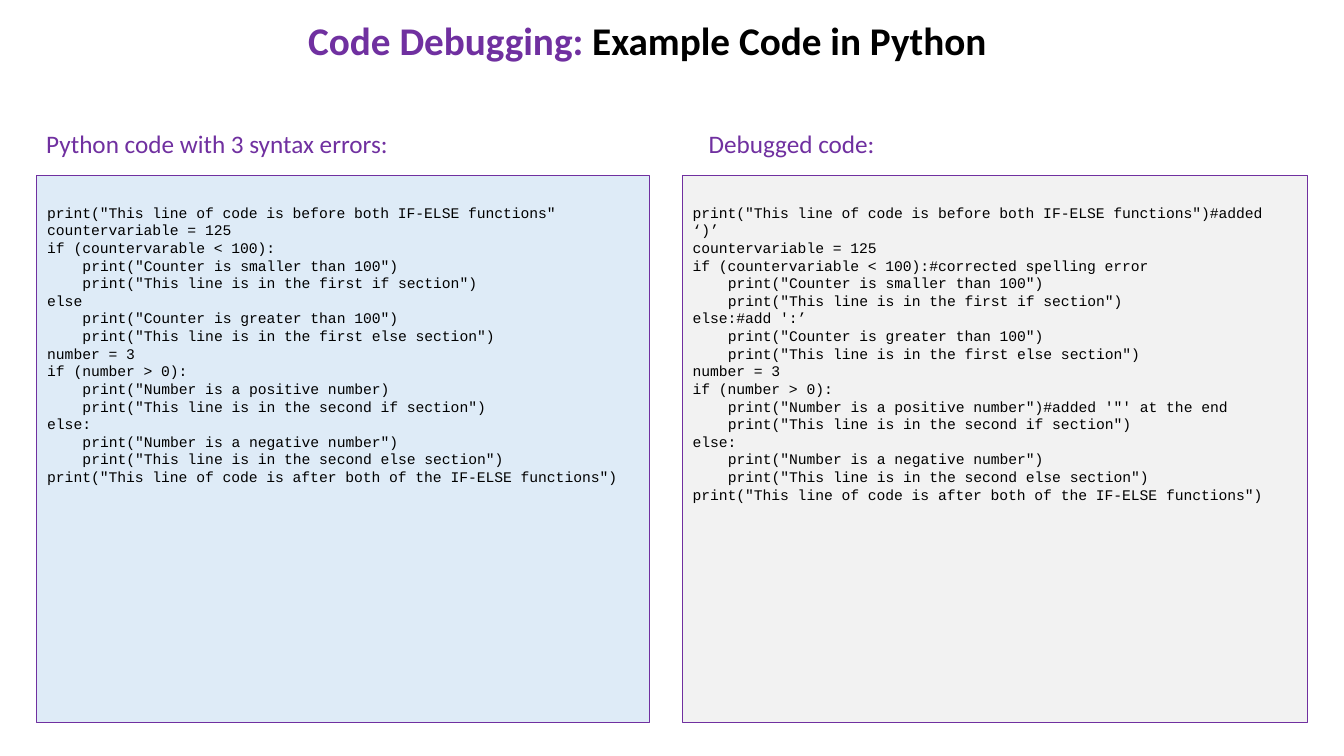
"""Build a slide that compares faulty Python code with its debugged version."""
from dataclasses import dataclass

from pptx import Presentation
from pptx.dml.color import RGBColor
from pptx.enum.shapes import MSO_SHAPE
from pptx.enum.text import MSO_AUTO_SIZE, PP_ALIGN
from pptx.util import Emu, Pt

PX = 9144


@dataclass(frozen=True)
class Theme:
    purple: RGBColor = RGBColor(0x70, 0x30, 0xA0)
    black: RGBColor = RGBColor(0x00, 0x00, 0x00)
    blue_panel: RGBColor = RGBColor(0xDE, 0xEB, 0xF7)
    grey_panel: RGBColor = RGBColor(0xF2, 0xF2, 0xF2)
    text_font: str = "Calibri"
    code_font: str = "Courier New"
    title_size: float = 28
    heading_size: float = 18
    code_size: float = 10.5


theme = Theme()

FAULTY_CODE = '''print("This line of code is before both IF-ELSE functions"
countervariable = 125
if (countervarable < 100):
    print("Counter is smaller than 100")
    print("This line is in the first if section")
else
    print("Counter is greater than 100")
    print("This line is in the first else section")
number = 3
if (number > 0):
    print("Number is a positive number)
    print("This line is in the second if section")
else:
    print("Number is a negative number")
    print("This line is in the second else section")
print("This line of code is after both of the IF-ELSE functions")'''.split("\n")

CORRECTIONS = {
    'print("This line of code is before both IF-ELSE functions"':
        'print("This line of code is before both IF-ELSE functions")#added ‘)’',
    "if (countervarable < 100):":
        "if (countervariable < 100):#corrected spelling error",
    "else": "else:#add ':’",
    '    print("Number is a positive number)':
        '    print("Number is a positive number")#added \'"\' at the end',
}
DEBUGGED_CODE = [CORRECTIONS.get(line, line) for line in FAULTY_CODE]
CODE_INDENT = 35


def add_text_frame(left, top, width, height):
    box = slide.shapes.add_textbox(*(Emu(n * PX) for n in (left, top, width, height)))
    box.text_frame.word_wrap = True
    box.text_frame.auto_size = MSO_AUTO_SIZE.SHAPE_TO_FIT_TEXT
    return box.text_frame


def add_run(paragraph, text, font, size, color, bold=False):
    run = paragraph.add_run()
    run.text = text
    run.font.name = font
    run.font.size = Pt(size)
    run.font.color.rgb = color
    run.font.bold = bold


presentation = Presentation()
presentation.slide_width = Emu(1333 * PX)
presentation.slide_height = Emu(750 * PX)
slide = presentation.slides.add_slide(presentation.slide_layouts[6])

title = add_text_frame(92, 11, 1100, 57).paragraphs[0]
title.alignment = PP_ALIGN.CENTER
for text, color in (("Code Debugging: ", theme.purple),
                    ("Example Code in Python", theme.black)):
    add_run(title, text, theme.text_font, theme.title_size, color, bold=True)

columns = [
    ("Python code with 3 syntax errors:", 36, 419, 36, 608, theme.blue_panel,
     37, 617, FAULTY_CODE),
    ("Debugged code:", 693, 279, 677, 620, theme.grey_panel,
     677, 619, DEBUGGED_CODE),
]
for (heading, heading_left, heading_width, panel_left, panel_width, panel_fill,
     code_left, code_width, code_lines) in columns:
    heading_frame = add_text_frame(heading_left, 122, heading_width, 40)
    add_run(heading_frame.paragraphs[0], heading, theme.text_font,
            theme.heading_size, theme.purple)

    panel = slide.shapes.add_shape(
        MSO_SHAPE.RECTANGLE,
        *(Emu(n * PX) for n in (panel_left, 174, panel_width, 543)))
    panel.shadow.inherit = False
    panel.fill.solid()
    panel.fill.fore_color.rgb = panel_fill
    panel.line.color.rgb = theme.purple
    panel.line.width = Pt(1)

    code_frame = add_text_frame(code_left, 197, code_width, 293)
    for number, line in enumerate(code_lines):
        paragraph = code_frame.add_paragraph() if number else code_frame.paragraphs[0]
        if line.startswith(" "):
            properties = paragraph._p.get_or_add_pPr()
            properties.set("marL", str(CODE_INDENT * PX))
            properties.set("indent", "0")
        add_run(paragraph, line.strip(), theme.code_font, theme.code_size, theme.black)

presentation.save("out.pptx")
